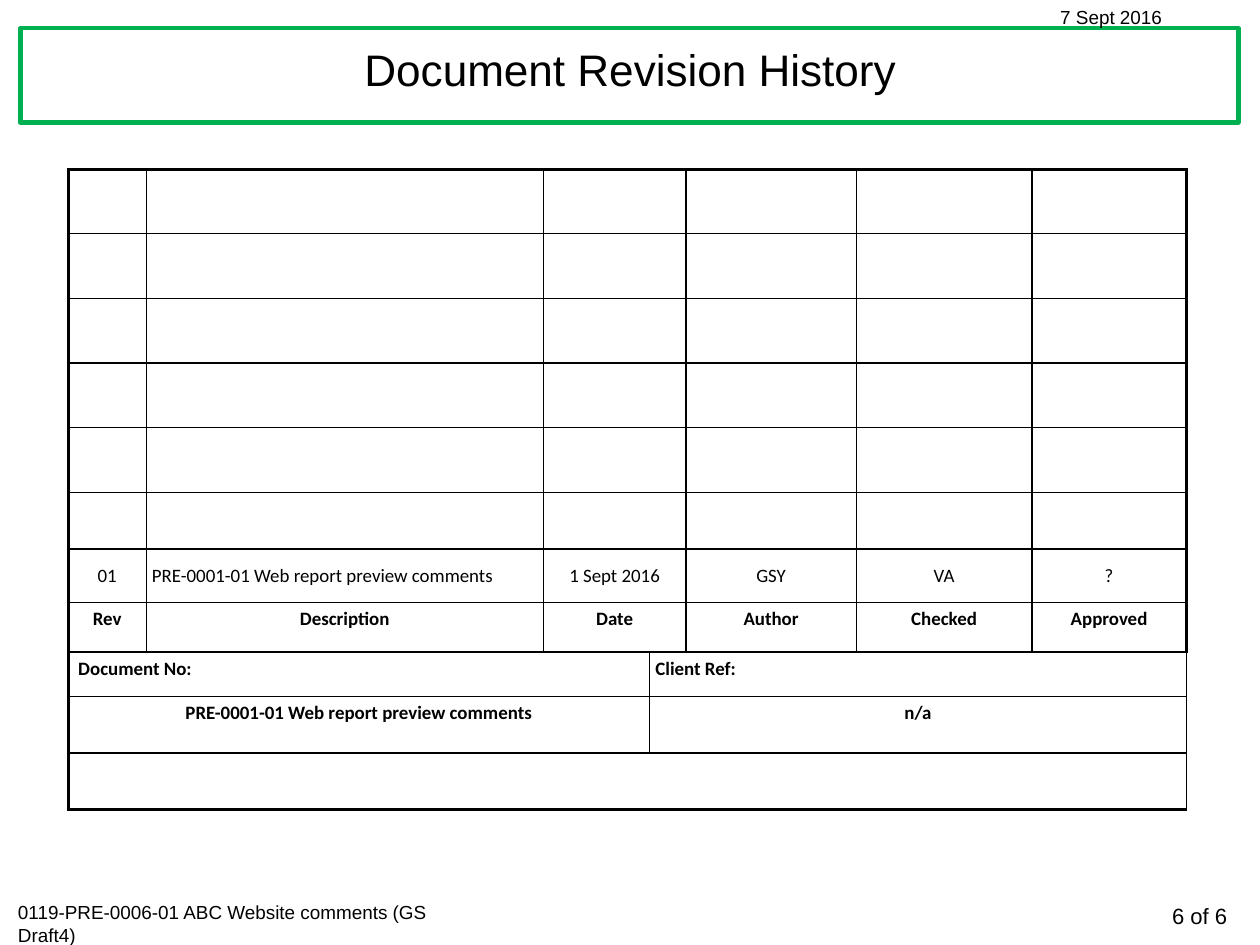
"""Build the document revision history slide."""
from dataclasses import dataclass

from lxml import etree
from pptx import Presentation
from pptx import util as u
from pptx.dml.color import RGBColor
from pptx.enum import shapes, text
from pptx.oxml.ns import qn

EMU_PER_PX = 9144
LEFT, CENTER, RIGHT = text.PP_ALIGN.LEFT, text.PP_ALIGN.CENTER, text.PP_ALIGN.RIGHT
TOP, MIDDLE = text.MSO_ANCHOR.TOP, text.MSO_ANCHOR.MIDDLE


@dataclass(frozen=True)
class Theme:
    """Colours, fonts and type sizes of the slide."""
    ink: str = "000000"
    paper: str = "FFFFFF"
    accent: str = "00B050"
    body_font: str = "Arial"
    table_font: str = "Calibri"
    title_size: int = 28
    page_size: int = 14
    text_size: int = 12
    frame_width: float = 2.75
    outer_width: float = 2.25
    inner_width: float = 1


THEME = Theme()
COLUMNS = [69, 350, 94, 32, 150, 155, 136]
ROWS = [57] * 5 + [50, 47, 44, 39, 50, 50]
REVISION_ROW, HEADING_ROW, LABEL_ROW, VALUE_ROW, LAST_ROW = range(6, 11)
ENTRY_COLUMNS = [0, 1, 2, 4, 5, 6]
REVISION = ["01", "PRE-0001-01 Web report preview comments", "1 Sept 2016", "GSY", "VA", "?"]
HEADINGS = ["Rev", "Description", "Date", "Author", "Checked", "Approved"]


def px(*lengths):
    """Turn px into EMU."""
    return [u.Emu(length * EMU_PER_PX) for length in lengths]


def write(frame, words, size, font, align=LEFT, bold=False):
    """Put one formatted paragraph into a text frame."""
    paragraph = frame.paragraphs[0]
    paragraph.text = words
    paragraph.alignment = align
    paragraph.font.size = u.Pt(size)
    paragraph.font.name = font
    paragraph.font.bold = bold
    paragraph.font.color.rgb = RGBColor.from_string(THEME.ink)
    return paragraph


def add_title(slide, words):
    """Place the title on its green frame."""
    frame = slide.shapes.add_shape(shapes.MSO_SHAPE.RECTANGLE, *px(18, 25, 1074, 83))
    frame.shadow.inherit = False
    frame.fill.solid()
    frame.fill.fore_color.rgb = RGBColor.from_string(THEME.paper)
    frame.line.color.rgb = RGBColor.from_string(THEME.accent)
    frame.line.width = u.Pt(THEME.frame_width)
    title = slide.shapes.title
    title.left, title.top, title.width, title.height = px(21, 25, 1069, 78)
    title.text_frame.vertical_anchor = MIDDLE
    heading = write(title.text_frame, words, THEME.title_size, THEME.body_font, CENTER)
    heading.line_spacing = 0.9
    frame.element.addnext(title.element)


def add_note(slide, words, box, size=THEME.text_size, align=LEFT):
    """Add a wrapped line of text at the slide's edge."""
    note = slide.shapes.add_textbox(*px(*box)).text_frame
    note.word_wrap = True
    write(note, words, size, THEME.body_font, align)


def set_borders(cell, row, column):
    """Draw a heavy line on the table's outside and a thin one inside."""
    outer_sides = {"L": column == 0, "R": column == len(COLUMNS) - 1,
                   "T": row == 0, "B": row == len(ROWS) - 1}
    properties = cell._tc.get_or_add_tcPr()
    for side, outer in outer_sides.items():
        width = u.Pt(THEME.outer_width if outer else THEME.inner_width)
        line = etree.SubElement(properties, qn(f"a:ln{side}"), w=str(int(width)))
        fill = etree.SubElement(line, qn("a:solidFill"))
        etree.SubElement(fill, qn("a:srgbClr"), val=THEME.ink)


def fill_cell(cell, words, align=CENTER, bold=True, anchor=TOP, indent=5):
    """Write a table entry with narrow margins."""
    cell.margin_left, cell.margin_right, cell.margin_top, cell.margin_bottom = px(indent, 5, 5, 5)
    cell.vertical_anchor = anchor
    write(cell.text_frame, words, THEME.text_size, THEME.table_font, align, bold)


def add_history(slide):
    """Add the revision table."""
    box = px(60, 149, sum(COLUMNS), sum(ROWS))
    history = slide.shapes.add_table(len(ROWS), len(COLUMNS), *box).table
    history.first_row = history.horz_banding = False
    for column, width in zip(history.columns, px(*COLUMNS)):
        column.width = width
    for row, height in zip(history.rows, px(*ROWS)):
        row.height = height
    for row in range(len(ROWS)):
        for column in range(len(COLUMNS)):
            cell = history.cell(row, column)
            set_borders(cell, row, column)
            cell.fill.background()

    spans = [(row, 2, 3) for row in range(LABEL_ROW)]
    spans += [(row, *ends) for row in (LABEL_ROW, VALUE_ROW) for ends in ((0, 2), (3, 6))]
    spans.append((LAST_ROW, 0, 6))
    for row, first, last in spans:
        history.cell(row, first).merge(history.cell(row, last))

    for column, entry, heading in zip(ENTRY_COLUMNS, REVISION, HEADINGS):
        align = LEFT if heading == "Description" else CENTER
        fill_cell(history.cell(REVISION_ROW, column), entry, align, False, MIDDLE)
        fill_cell(history.cell(HEADING_ROW, column), heading)
    fill_cell(history.cell(LABEL_ROW, 0), "Document No:", LEFT, indent=9)
    fill_cell(history.cell(LABEL_ROW, 3), "Client Ref:", LEFT)
    fill_cell(history.cell(VALUE_ROW, 0), REVISION[1])
    fill_cell(history.cell(VALUE_ROW, 3), "n/a")


def main():
    """Build and save the slide."""
    deck = Presentation()
    deck.slide_width, deck.slide_height = px(1111, 833)
    slide = deck.slides.add_slide(deck.slide_layouts.get_by_name("Title Only"))
    add_title(slide, "Document Revision History")
    add_note(slide, "6 of 6", (940, 791, 152, 34), THEME.page_size, RIGHT)
    add_note(slide, "0119-PRE-0006-01 ABC Website comments (GS Draft4)", (6, 789, 399, 50))
    add_note(slide, "7 Sept 2016", (925, 0, 168, 30))
    add_history(slide)
    deck.save("out.pptx")


if __name__ == "__main__":
    main()
